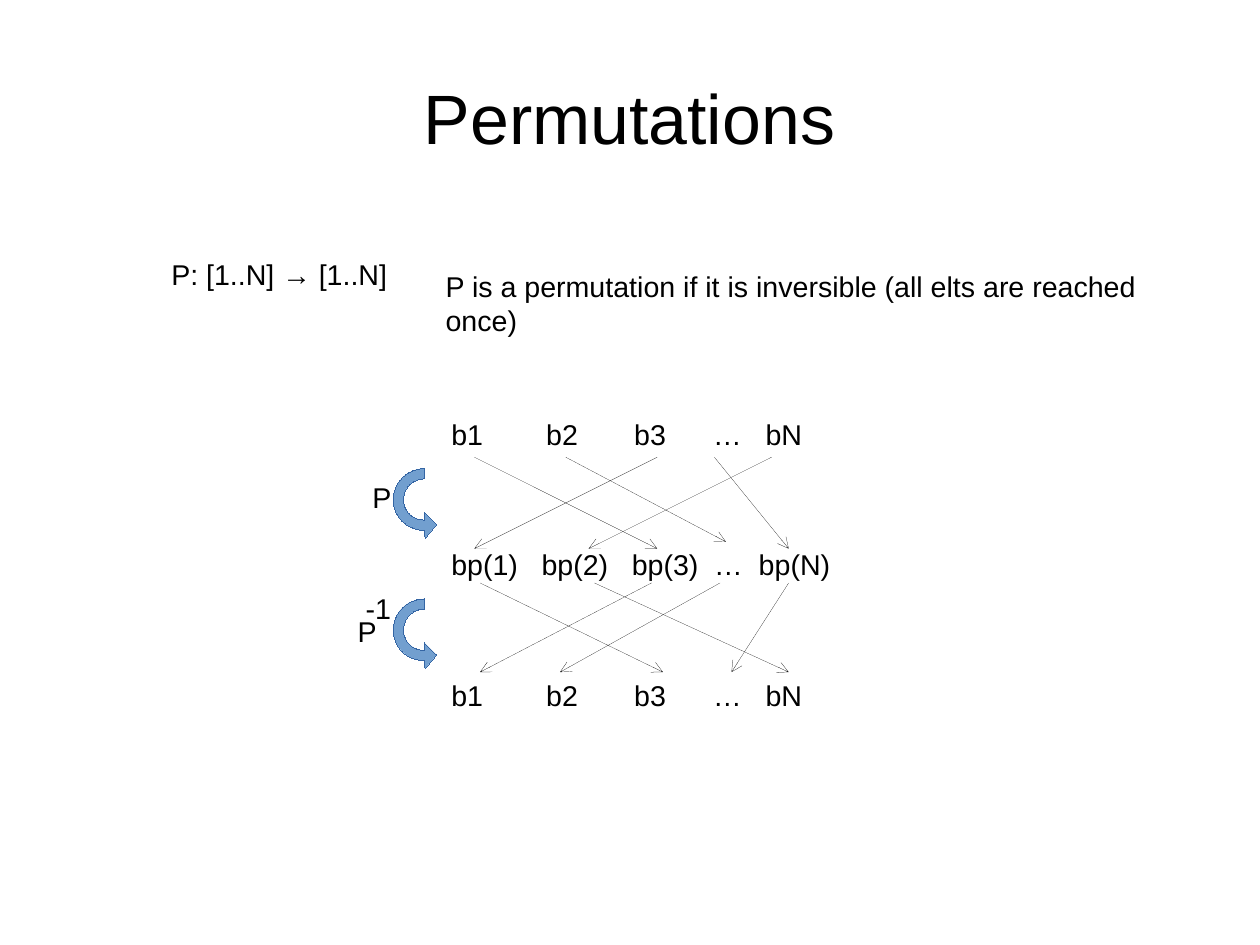
from math import cos, pi, sin

from lxml.etree import SubElement
from pptx import Presentation
from pptx.dml.color import RGBColor
from pptx.enum.shapes import MSO_CONNECTOR
from pptx.enum.text import MSO_ANCHOR, PP_ALIGN
from pptx.oxml.ns import qn
from pptx.util import Cm, Inches, Pt

COLORS = {"text": "000000", "arrow": "000000", "turn": "729FCF", "edge": "3465A4"}
ROW_PITCH = 1.14

# Tab stops in inches from the text edge, one per column after the first
B_ROW = (["b1", "b2", "b3", "…", "bN"], [0.83, 1.6, 2.29, 2.75])
BP_ROW = (["bp(1)", "bp(2)", "bp(3)", "…", "bp(N)"], [0.79, 1.58, 2.3, 2.69])

# Each arrow: start x, end x, length down; x is measured from the diagram's left
P_ARROWS = [(0.3, 1.9, 0.8), (1.9, 0.3, 0.8), (2.4, 3.05, 0.8),
            (2.9, 1.3, 0.8), (1.1, 2.5, 0.74)]
INVERSE_ARROWS = [(1.85, 0.35, 0.78), (0.35, 1.95, 0.78), (2.45, 1.05, 0.78),
                  (3.05, 2.55, 0.78), (1.35, 3.05, 0.78)]


def rgb(name):
    return RGBColor.from_string(COLORS[name])


def style_font(font, size):
    for key, value in {"name": "Arial", "size": Pt(size)}.items():
        setattr(font, key, value)
    font.color.rgb = rgb("text")


def hairline(sp, color):
    """Thinnest line; the zero width has to be written out in the XML."""
    sp.line.color.rgb = rgb(color)
    ln = sp.line._get_or_add_ln()
    ln.set("w", "0")
    return ln


def add_title(s, text, x, y, w, h):
    sp = s.shapes.title
    box = {"left": x, "top": y, "width": w, "height": h}
    for key, value in box.items():
        setattr(sp, key, Inches(value))
    tf = sp.text_frame
    frame = {"margin_left": 0, "margin_right": 0, "margin_top": 0,
             "margin_bottom": 0, "vertical_anchor": MSO_ANCHOR.MIDDLE}
    for key, value in frame.items():
        setattr(tf, key, value)
    tf.text = text
    p = tf.paragraphs[0]
    p.alignment = PP_ALIGN.CENTER
    style_font(p.runs[0].font, 44)


def add_label(s, text, x, y, w, h=0.38, wrap=False, tabs=()):
    sp = s.shapes.add_textbox(Inches(x), Inches(y), Inches(w), Inches(h))
    tf = sp.text_frame
    tf.word_wrap = wrap
    p = tf.paragraphs[0]
    if tabs:
        tab_list = SubElement(p._p.get_or_add_pPr(), qn("a:tabLst"))
        for stop in tabs:
            SubElement(tab_list, qn("a:tab"), pos=str(Inches(stop)), algn="l")
    r = p.add_run()
    r.text = text
    style_font(r.font, 18)


def add_row(s, row, x, y, w):
    cells, tabs = row
    add_label(s, "\t".join(cells), x, y, w, 0.66, tabs=tabs)


def add_arrows(s, arrows, x, y):
    for start, end, drop in arrows:
        line = s.shapes.add_connector(
            MSO_CONNECTOR.STRAIGHT, Inches(x + start), Inches(y),
            Inches(x + end), Inches(y + drop))
        SubElement(hairline(line, "arrow"), qn("a:tailEnd"), type="arrow")
        SubElement(line._element.spPr, qn("a:effectLst"))


def add_turn(s, x, y):
    """Half-ring with an arrowhead, turning from one row to the next."""
    cx, cy, outer, inner, steps = x + 0.26, y + 0.27, 0.27, 0.18, 24

    def arc(radius):
        angles = [pi / 2 + pi * i / steps for i in range(steps + 1)]
        return [(cx + radius * cos(a), cy + radius * sin(a)) for a in angles]

    head = [(x + 0.27, y + 0.61), (x + 0.37, y + 0.49), (x + 0.26, y + 0.38)]
    outline = arc(inner) + arc(outer)[::-1] + head
    points = [(Inches(px), Inches(py)) for px, py in outline]
    builder = s.shapes.build_freeform(*points[0])
    builder.add_line_segments(points[1:], close=True)
    sp = builder.convert_to_shape()
    sp.shadow.inherit = False
    sp.fill.solid()
    sp.fill.fore_color.rgb = rgb("turn")
    hairline(sp, "edge")


def add_diagram(s, x, y):
    # Three rows of bits
    for i, (row, w) in enumerate([(B_ROW, 4), (BP_ROW, 3.6), (B_ROW, 4)]):
        add_row(s, row, x, y + i * ROW_PITCH, w)
    # Mappings between the rows
    add_arrows(s, P_ARROWS, x, y + 0.4)
    add_arrows(s, INVERSE_ARROWS, x, y + 1.5)
    for i in range(2):
        add_turn(s, x - 0.4, y + 0.5 + i * ROW_PITCH)
    # Names of the mappings
    add_label(s, "P", x - 0.69, y + 0.55, 0.36)
    add_label(s, "P", x - 0.82, y + 1.72, 0.36)
    add_label(s, "-1", x - 0.75, y + 1.52, 0.42)


def main():
    prs = Presentation()
    prs.slide_width, prs.slide_height = Cm(28), Cm(21)
    s = prs.slides.add_slide(prs.slide_layouts[5])
    add_title(s, "Permutations", 0.55, 0.33, 9.92, 1.38)
    # Definition
    add_label(s, "P: [1..N] → [1..N]", 1.4, 2.2, 2.09)
    add_label(s, "P is a permutation if it is inversible (all elts are reached once)",
              3.8, 2.3, 6.92, 0.68, wrap=True)
    add_diagram(s, 3.85, 3.6)
    prs.save("out.pptx")


if __name__ == "__main__":
    main()
